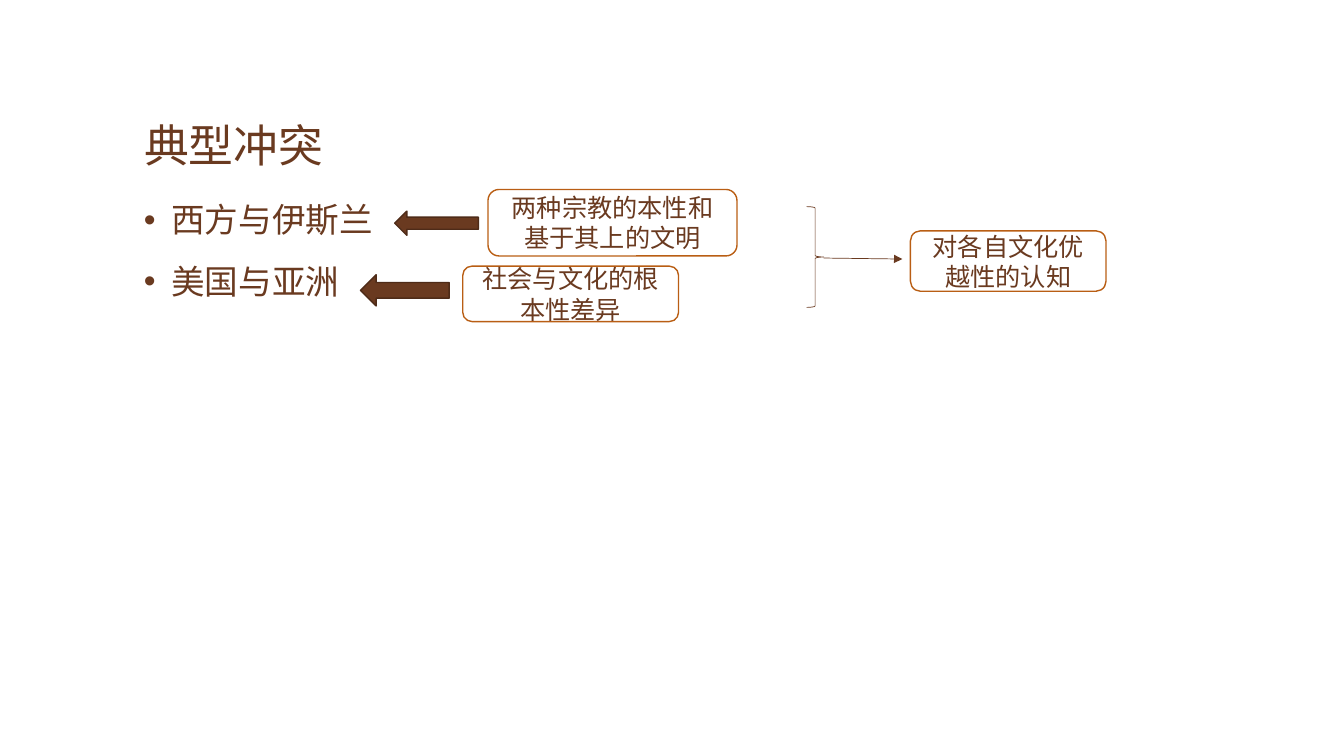
from pptx import Presentation
from pptx.dml.color import RGBColor
from pptx.enum.shapes import MSO_CONNECTOR, MSO_SHAPE
from pptx.enum.text import MSO_ANCHOR, PP_ALIGN
from pptx.oxml.xmlchemy import OxmlElement
from pptx.util import Inches, Pt

ROUND = MSO_SHAPE.ROUNDED_RECTANGLE
ARROW = MSO_SHAPE.DOWN_ARROW
BRACE = MSO_SHAPE.RIGHT_BRACE
LINE = MSO_CONNECTOR.STRAIGHT
CENTER, LEFT = PP_ALIGN.CENTER, PP_ALIGN.LEFT
MIDDLE, BOTTOM, TOP = MSO_ANCHOR.MIDDLE, MSO_ANCHOR.BOTTOM, MSO_ANCHOR.TOP

BROWN = RGBColor(0x6A, 0x3A, 0x20)
DARK = RGBColor(0x4E, 0x2B, 0x18)
ORANGE = RGBColor(0xB9, 0x5E, 0x14)
WHITE = RGBColor(0xFF, 0xFF, 0xFF)
SANS = "Noto Sans CJK SC"
SERIF = "Cambria"


def add_tag(parent, tag, **attrs):
    node = OxmlElement(tag)
    for key, value in attrs.items():
        node.set(key, value)
    parent.append(node)


class Page:
    def __init__(self, deck):
        self.slide = deck.slides.add_slide(deck.slide_layouts[5])
        self.shapes = self.slide.shapes

    def set_text(self, frame, text, size, font, align, anchor):
        frame.text = text
        frame.word_wrap = True
        frame.vertical_anchor = anchor
        for para in frame.paragraphs:
            para.alignment = align
            for run in para.runs:
                run.font.size = Pt(size)
                run.font.name = font
                run.font.color.rgb = BROWN
                add_tag(run.font._element, "a:ea", typeface=SANS)

    def title(self, text, box):
        title = self.shapes.title
        title.left, title.top, title.width, title.height = map(Inches, box)
        self.set_text(title.text_frame, text, 32, SANS, LEFT, BOTTOM)

    def bullets(self, items, box):
        frame = self.shapes.add_textbox(*map(Inches, box)).text_frame
        self.set_text(frame, "\n".join(items), 24, SANS, LEFT, TOP)
        for para in frame.paragraphs:
            para.line_spacing = 0.9
            para.space_before = Pt(18)
            props = para._p.get_or_add_pPr()
            props.set("marL", str(Inches(0.27)))
            props.set("indent", str(-Inches(0.27)))
            add_tag(props, "a:buFont", typeface="Arial")
            add_tag(props, "a:buChar", char="•")

    def shape(self, kind, box, fill, line, width=1):
        shape = self.shapes.add_shape(kind, *map(Inches, box))
        shape.shadow.inherit = False
        if fill is None:
            shape.fill.background()
        else:
            shape.fill.solid()
            shape.fill.fore_color.rgb = fill
        shape.line.color.rgb = line
        shape.line.width = Pt(width)
        return shape

    def label(self, text, box):
        shape = self.shape(ROUND, box, WHITE, ORANGE)
        self.set_text(shape.text_frame, text, 18, SERIF, CENTER, MIDDLE)

    def arrow(self, box):
        self.shape(ARROW, box, BROWN, DARK).rotation = 90

    def brace(self, box):
        self.shape(BRACE, box, None, BROWN, 0.5)

    def link(self, *ends):
        link = self.shapes.add_connector(LINE, *map(Inches, ends))
        link.line.color.rgb = BROWN
        link.line.width = Pt(0.5)
        add_tag(link.line._get_or_add_ln(), "a:tailEnd", type="triangle")
        add_tag(link._element.spPr, "a:effectLst")


def main():
    deck = Presentation()
    deck.slide_width, deck.slide_height = Inches(13.33), Inches(7.5)
    page = Page(deck)
    page.title("典型冲突", (1.33, 0.47, 10.66, 1.28))
    page.bullets(["西方与伊斯兰", "美国与亚洲"], (1.33, 1.97, 10.66, 4.67))
    page.arrow((4.21, 1.8, 0.24, 0.83))
    page.label("两种宗教的本性和基于其上的文明", (4.84, 1.88, 2.47, 0.66))
    page.arrow((3.86, 2.44, 0.31, 0.88))
    page.label("社会与文化的根本性差异", (4.59, 2.64, 2.14, 0.55))
    page.brace((8, 2.05, 0.17, 1))
    page.link(8.17, 2.56, 8.95, 2.57)
    page.label("对各自文化优越性的认知", (9.03, 2.29, 1.94, 0.6))
    deck.save("out.pptx")


if __name__ == "__main__":
    main()
